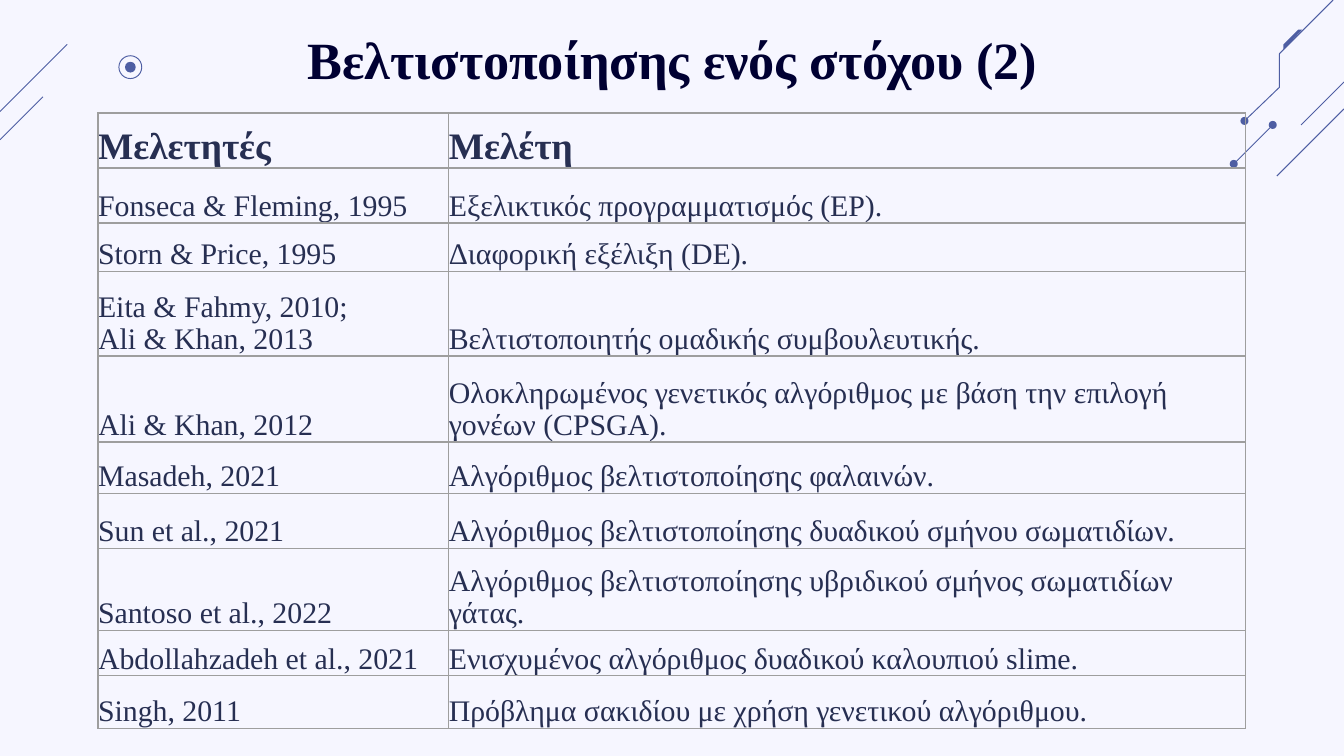
from lxml import etree
from pptx import Presentation
from pptx.dml.color import RGBColor
from pptx.enum.shapes import MSO_CONNECTOR, MSO_SHAPE
from pptx.enum.text import MSO_ANCHOR, PP_ALIGN
from pptx.oxml import parse_xml
from pptx.oxml.ns import nsdecls, qn
from pptx.util import Inches, Pt

FONT = "Times New Roman"
BACK = RGBColor(0xF6, 0xF6, 0xFF)
BLUE = RGBColor(0x4E, 0x5E, 0xA3)
NAVY = RGBColor(0x00, 0x00, 0x32)
INK = RGBColor(0x27, 0x2F, 0x52)
GRAY = RGBColor(0x9E, 0x9E, 0x9E)
THIN = Pt(0.5)

# Ends of the slanted lines: x1, y1, x2, y2
LINES = [
    (10, 0.61, 9.68, 0.93),
    (10, 0.81, 9.5, 1.31),
    (9.47, 0.93, 9.18, 1.22),
    (0.5, 0.33, 0, 0.83),
    (0.32, 0.72, 0, 1.04),
]
# Centre and diameter of the dots
DOTS = [(9.47, 0.93, 0.06), (9.18, 1.22, 0.06), (9.26, 0.9, 0.06),
        (0.97, 0.5, 0.08)]
RING = (0.97, 0.5, 0.17)
TRACE = [(9.26, 0.9), (9.52, 0.65), (9.52, 0.4), (9.92, 0)]
WEDGE = [(9.55, 0.37), (9.69, 0.22), (9.66, 0.22), (9.55, 0.33)]

COLS = [2.61, 5.93]
# Row height, authors, study
ROWS = [
    (0.41, "Μελετητές", "Μελέτη"),
    (0.41, "Fonseca & Fleming, 1995", "Εξελικτικός προγραμματισμός (EP)."),
    (0.36, "Storn & Price, 1995", "Διαφορική εξέλιξη (DE)."),
    (0.63, "Eita & Fahmy, 2010; \nAli & Khan, 2013",
     "Βελτιστοποιητής ομαδικής συμβουλευτικής."),
    (0.64, "Ali & Khan, 2012",
     "Ολοκληρωμένος γενετικός αλγόριθμος με βάση την επιλογή γονέων (CPSGA)."),
    (0.38, "Masadeh, 2021", "Αλγόριθμος βελτιστοποίησης φαλαινών."),
    (0.41, "Sun et al., 2021",
     "Αλγόριθμος βελτιστοποίησης δυαδικού σμήνου σωματιδίων."),
    (0.61, "Santoso et al., 2022",
     "Αλγόριθμος βελτιστοποίησης υβριδικού σμήνος σωματιδίων γάτας."),
    (0.34, "Abdollahzadeh et al., 2021",
     "Ενισχυμένος αλγόριθμος δυαδικού καλουπιού slime."),
    (0.39, "Singh, 2011", "Πρόβλημα σακιδίου με χρήση γενετικού αλγόριθμου."),
]


def add_line(slide, *ends):
    line = slide.shapes.add_connector(
        MSO_CONNECTOR.STRAIGHT, *[Inches(v) for v in ends])
    line.line.color.rgb = BLUE
    line.line.width = THIN
    etree.SubElement(line._element.spPr, qn("a:effectLst"))


def paint(shape, solid):
    """Fill the shape, or draw only its outline."""
    shape.shadow.inherit = False
    if solid:
        shape.fill.solid()
        shape.fill.fore_color.rgb = BLUE
        shape.line.fill.background()
    else:
        shape.fill.background()
        shape.line.color.rgb = BLUE
        shape.line.width = THIN


def add_dot(slide, x, y, size, solid=True):
    dot = slide.shapes.add_shape(
        MSO_SHAPE.OVAL, Inches(x - size / 2), Inches(y - size / 2),
        Inches(size), Inches(size))
    paint(dot, solid)


def add_path(slide, points, solid):
    pts = [(Inches(x), Inches(y)) for x, y in points]
    path = slide.shapes.build_freeform(*pts[0])
    path.add_line_segments(pts[1:], close=solid)
    paint(path.convert_to_shape(), solid)


def add_text(para, text, size, color, bold):
    for i, part in enumerate(text.split("\n")):
        if i:
            para.add_line_break()
        run = para.add_run()
        run.text = part
        run.font.name = FONT
        run.font.size = Pt(size)
        run.font.bold = bold
        run.font.color.rgb = color


def add_title(slide, text):
    box = slide.shapes.add_textbox(
        Inches(0.86), Inches(0.17), Inches(8.29), Inches(0.57))
    frame = box.text_frame
    frame.word_wrap = True
    frame.margin_top = 0
    frame.margin_bottom = Inches(0.04)
    frame.vertical_anchor = MSO_ANCHOR.MIDDLE
    para = frame.paragraphs[0]
    para.alignment = PP_ALIGN.CENTER
    add_text(para, text, 28, NAVY, True)


def set_edges(cell):
    props = cell._tc.get_or_add_tcPr()
    for i, side in enumerate(("lnL", "lnR", "lnT", "lnB")):
        props.insert(i, parse_xml(
            f'<a:{side} {nsdecls("a")} w="{Pt(0.75)}"><a:solidFill>'
            f'<a:srgbClr val="{GRAY}"/></a:solidFill></a:{side}>'))


def fill_cell(cell, text, head):
    cell.margin_left = cell.margin_right = 0
    cell.margin_top = cell.margin_bottom = 0
    cell.vertical_anchor = MSO_ANCHOR.BOTTOM
    cell.fill.background()
    set_edges(cell)
    para = cell.text_frame.paragraphs[0]
    para.line_spacing = 0.98
    add_text(para, text, 20 if head else 16, INK, head)


def add_studies(slide):
    table = slide.shapes.add_table(
        len(ROWS), len(COLS), Inches(0.73), Inches(0.84),
        Inches(sum(COLS)), Inches(sum(row[0] for row in ROWS))).table
    table.first_row = table.horz_banding = False
    for col, width in zip(table.columns, COLS):
        col.width = Inches(width)
    for r, (height, *texts) in enumerate(ROWS):
        table.rows[r].height = Inches(height)
        for c, text in enumerate(texts):
            fill_cell(table.cell(r, c), text, r == 0)


def add_decor(slide):
    for ends in LINES:
        add_line(slide, *ends)
    add_path(slide, TRACE, False)
    add_path(slide, WEDGE, True)
    add_dot(slide, *RING, solid=False)
    for dot in DOTS:
        add_dot(slide, *dot)


def main():
    deck = Presentation()
    deck.slide_width = Inches(10)
    deck.slide_height = deck.slide_width * 9 // 16
    slide = deck.slides.add_slide(deck.slide_layouts[6])
    slide.background.fill.solid()
    slide.background.fill.fore_color.rgb = BACK
    add_decor(slide)
    add_title(slide, "Βελτιστοποίησης ενός στόχου (2)")
    add_studies(slide)
    deck.save("out.pptx")


if __name__ == "__main__":
    main()
